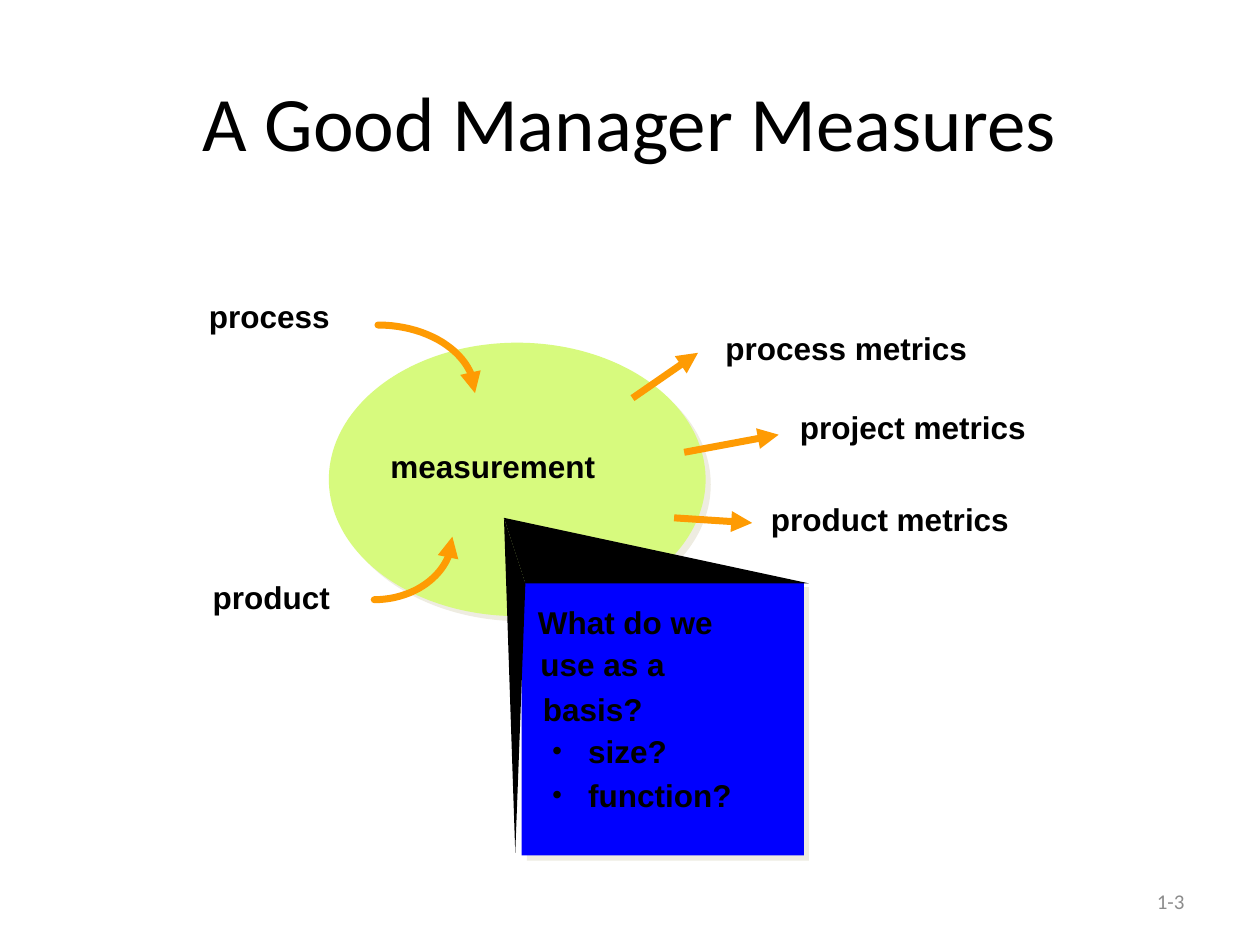
from lxml import etree
from pptx import Presentation
from pptx.dml.color import RGBColor
from pptx.enum import shapes, text
from pptx.oxml.ns import qn
from pptx.util import Inches, Pt

BLACK = RGBColor(0x00, 0x00, 0x00)
GRAY = RGBColor(0x8C, 0x8C, 0x8C)
LIME = RGBColor(0xD7, 0xFA, 0x7E)
BLUE = RGBColor(0x00, 0x00, 0xFF)
ORANGE = RGBColor(0xFE, 0x9B, 0x03)
SHADOW = RGBColor(0xEE, 0xEC, 0xE1)
CURVE_STEPS = 24


def format_runs(paragraph, font_name, size, color, bold=False):
    for run in paragraph.runs:
        run.font.name = font_name
        run.font.size = Pt(size)
        run.font.bold = bold
        run.font.color.rgb = color


def add_title(slide, wording, left, top, width, height):
    title = slide.shapes.title
    title.left, title.top = Inches(left), Inches(top)
    title.width, title.height = Inches(width), Inches(height)
    title.text_frame.text = wording
    title.text_frame.vertical_anchor = text.MSO_ANCHOR.MIDDLE
    paragraph = title.text_frame.paragraphs[0]
    paragraph.alignment = text.PP_ALIGN.CENTER
    format_runs(paragraph, "Calibri", 44, BLACK)


def add_page_number(slide, wording, left, top, width, height):
    box = slide.shapes.add_textbox(Inches(left), Inches(top), Inches(width), Inches(height))
    frame = box.text_frame
    frame.word_wrap = True
    frame.vertical_anchor = text.MSO_ANCHOR.MIDDLE
    frame.text = wording
    frame.paragraphs[0].alignment = text.PP_ALIGN.RIGHT
    format_runs(frame.paragraphs[0], "Calibri", 12, GRAY)


def add_label(slide, wording, left, top, width, height=0.5):
    box = slide.shapes.add_textbox(Inches(left), Inches(top), Inches(width), Inches(height))
    box.text_frame.word_wrap = True
    box.text_frame.text = wording
    paragraph = box.text_frame.paragraphs[0]
    format_runs(paragraph, "Arial", 18, BLACK, bold=True)
    return paragraph


def add_bullet(paragraph):
    properties = paragraph._p.get_or_add_pPr()
    properties.set("marL", str(Inches(0.43)))
    properties.set("indent", str(Inches(-0.29)))
    etree.SubElement(properties, qn("a:buFont"), typeface="Times New Roman")
    etree.SubElement(properties, qn("a:buChar"), char="•")


def add_shadowed_shape(slide, kind, color, left, top, width, height):
    shape = slide.shapes.add_shape(kind, Inches(left), Inches(top), Inches(width), Inches(height))
    shape.fill.solid()
    shape.fill.fore_color.rgb = color
    shape.line.fill.background()
    shape.shadow.inherit = False
    effects = shape._element.spPr.find(qn("a:effectLst"))
    shadow = etree.SubElement(effects, qn("a:outerShdw"), blurRad="0", dist=str(Pt(4.2)),
                              dir=str(45 * 60000), algn="ctr", rotWithShape="0")
    etree.SubElement(shadow, qn("a:srgbClr"), val=str(SHADOW))


def style_arrow(shape):
    """Orange line with a triangle at its end and no shadow."""
    shape.line.color.rgb = ORANGE
    shape.line.width = Pt(4)
    etree.SubElement(shape.line._get_or_add_ln(), qn("a:tailEnd"), type="triangle")
    etree.SubElement(shape._element.spPr, qn("a:effectLst"))


def add_straight_arrow(slide, start, end):
    arrow = slide.shapes.add_connector(
        shapes.MSO_CONNECTOR.STRAIGHT, *(Inches(value) for value in (*start, *end)))
    style_arrow(arrow)


def bezier_point(controls, t):
    weights = ((1 - t) ** 3, 3 * t * (1 - t) ** 2, 3 * t ** 2 * (1 - t), t ** 3)
    return tuple(Inches(sum(w * point[axis] for w, point in zip(weights, controls)))
                 for axis in (0, 1))


def add_curved_arrow(slide, start, end):
    """Quarter ellipse that leaves start sideways and reaches end upright."""
    bend = 0.55
    controls = (start, (start[0] + bend * (end[0] - start[0]), start[1]),
                (end[0], end[1] + bend * (start[1] - end[1])), end)
    points = [bezier_point(controls, step / CURVE_STEPS) for step in range(CURVE_STEPS + 1)]
    builder = slide.shapes.build_freeform(*points[0])
    builder.add_line_segments(points[1:], close=False)
    arrow = builder.convert_to_shape()
    arrow.fill.background()
    style_arrow(arrow)
    arrow.line._get_or_add_ln().set("cap", "rnd")


def add_black_face(slide, corners):
    points = [(Inches(x), Inches(y)) for x, y in corners]
    builder = slide.shapes.build_freeform(*points[0])
    builder.add_line_segments(points[1:], close=True)
    face = builder.convert_to_shape()
    face.fill.solid()
    face.fill.fore_color.rgb = BLACK
    face.line.fill.background()
    face.shadow.inherit = False


def add_measurement(slide, left, top, width, height):
    add_shadowed_shape(slide, shapes.MSO_SHAPE.OVAL, LIME, left, top, width, height)
    add_label(slide, "measurement", left + 0.39, top + 0.78, 2.37)


def add_question_card(slide, left, top, width, height):
    add_shadowed_shape(slide, shapes.MSO_SHAPE.RECTANGLE, BLUE, left, top, width, height)
    lines = (("What do we", 0.03, 0.12, 2.05), ("use as a", 0.05, 0.45, 1.51),
             ("basis?", 0.07, 0.81, 1.25))
    for wording, x, y, label_width in lines:
        add_label(slide, wording, left + x, top + y, label_width, 0.9)
    for wording, y, label_width in (("size?", 1.14, 1.61), ("function?", 1.49, 2.29)):
        add_bullet(add_label(slide, wording, left, top + y, label_width))


def add_card_pointer(slide, left, top):
    """Two black faces that run from the tip to the question card."""
    tip, card_corner = (left, top), (left + 0.17, top + 0.52)
    add_black_face(slide, (tip, (left + 2.42, top + 0.52), card_corner))
    add_black_face(slide, (tip, (left + 0.09, top + 2.66), card_corner))


def add_inputs(slide, left, top):
    add_label(slide, "process", left, top, 1.48)
    add_label(slide, "product", left + 0.03, top + 2.23, 1.44)
    add_curved_arrow(slide, (left + 1.44, top + 0.27), (left + 2.21, top + 0.81))
    add_curved_arrow(slide, (left + 1.41, top + 2.45), (left + 2.03, top + 1.95))


def add_metrics(slide, left, top):
    metrics = (
        ("process metrics", (0.64, 0, 2.76), (0, 0.6), (0.52, 0.24)),
        ("project metrics", (1.23, 0.63, 2.59), (0.41, 1.03), (1.16, 0.89)),
        ("product metrics", (1, 1.36, 2.72), (0.33, 1.55), (0.95, 1.59)),
    )
    for wording, (x, y, width), start, end in metrics:
        add_label(slide, wording, left + x, top + y, width)
        add_straight_arrow(slide, (left + start[0], top + start[1]),
                           (left + end[0], top + end[1]))


def main():
    presentation = Presentation()
    presentation.slide_width, presentation.slide_height = Inches(10), Inches(7.5)
    slide = presentation.slides.add_slide(presentation.slide_layouts[5])
    add_title(slide, "A Good Manager Measures", 0.75, 0.33, 8.5, 1.25)
    add_page_number(slide, "1-3", 7.17, 6.95, 2.33, 0.4)
    add_measurement(slide, 2.61, 2.72, 2.99, 2.17)
    add_question_card(slide, 4.14, 4.62, 2.24, 2.17)
    add_inputs(slide, 1.56, 2.31)
    add_card_pointer(slide, 4, 4.11)
    add_metrics(slide, 5.02, 2.56)
    presentation.save("out.pptx")


if __name__ == "__main__":
    main()
